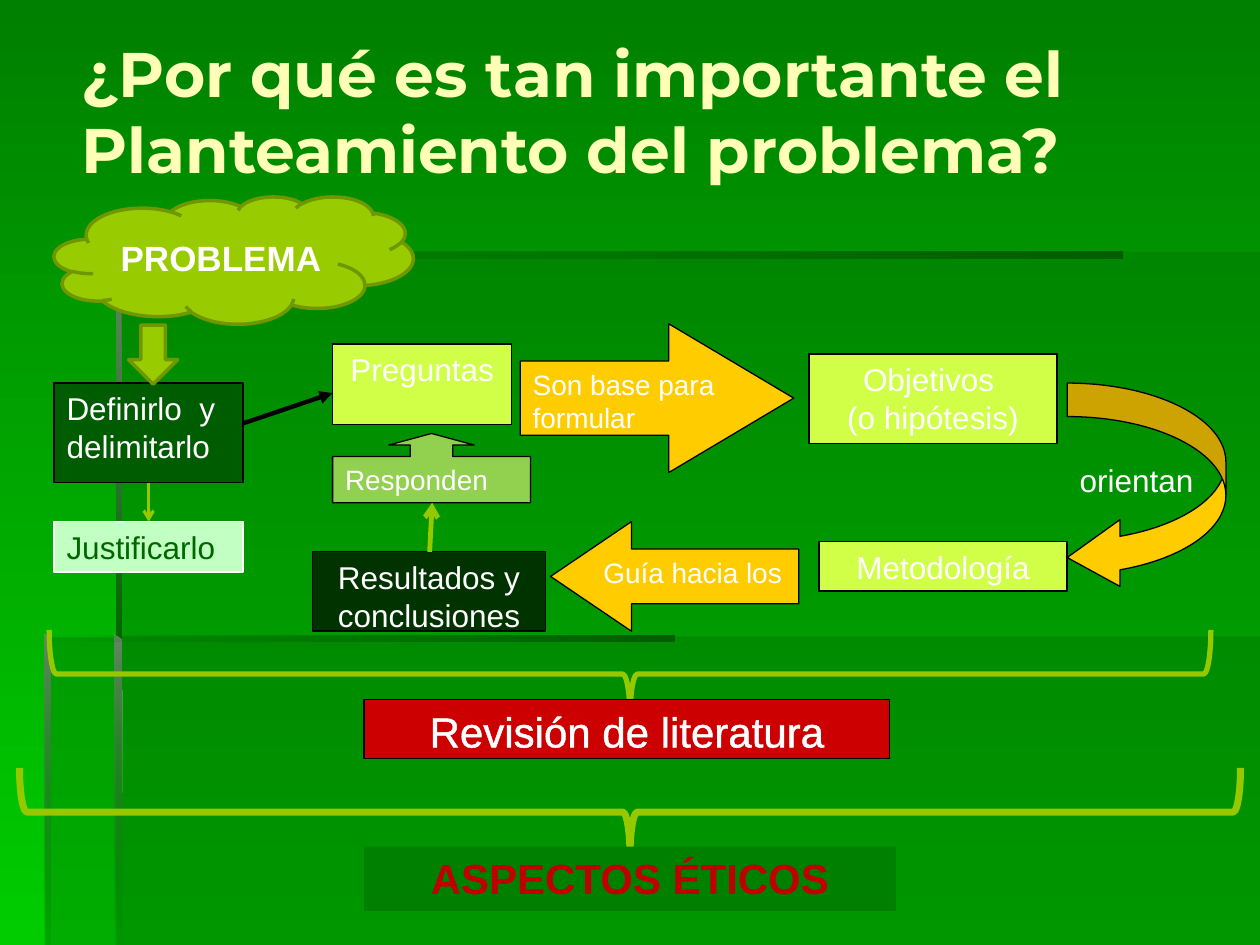
"""Builds the slide on why stating the research problem matters."""
from dataclasses import dataclass

from lxml import etree
from pptx import Presentation
from pptx import util as u
from pptx.dml.color import RGBColor
from pptx.enum import shapes, text
from pptx.oxml import ns


@dataclass(frozen=True)
class Theme:
    title_font: str = "Montserrat"
    body_font: str = "Arial"
    title: str = "FFFFB7"
    white: str = "FFFFFF"
    black: str = "000000"
    shade: str = "006600"
    shade_end: str = "005E00"
    shade_soft: str = "668666"
    green: str = "008000"
    bright: str = "00CC00"
    lime: str = "D1FF47"
    yellow: str = "FFCC00"
    forest: str = "005C00"
    night: str = "003300"
    leaf: str = "92D050"
    mint: str = "C2FFC2"
    olive: str = "99CC00"
    olive_edge: str = "719700"
    accent: str = "96C800"
    red: str = "CC0000"
    dark_red: str = "C00000"
    title_size: int = 36
    large: int = 24
    medium: int = 20
    body: int = 18
    small: int = 16


theme = Theme()
rgb = RGBColor.from_string


def set_gradient(fill, colors, angle):
    fill.gradient()
    fill.gradient_angle = angle
    for stop, position, color in zip(fill.gradient_stops, (0, 1), colors):
        stop.position = position
        stop.color.rgb = rgb(color)


def write_lines(shape, lines, size, color, font=theme.body_font, bold=False, align=None):
    frame = shape.text_frame
    frame.word_wrap = True
    for index, line in enumerate(lines):
        paragraph = frame.add_paragraph() if index else frame.paragraphs[0]
        paragraph.alignment = align or text.PP_ALIGN.LEFT
        run = paragraph.add_run()
        run.text = line
        run.font.name = font
        run.font.size = u.Pt(size)
        run.font.bold = bold
        run.font.color.rgb = rgb(color)


presentation = Presentation()
presentation.slide_width = u.Inches(10)
presentation.slide_height = u.Inches(7.5)
slide = presentation.slides.add_slide(presentation.slide_layouts[6])
set_gradient(slide.background.fill, (theme.green, theme.bright), 270)

panel = (theme.shade, theme.shade)
fade_in = (theme.shade, theme.shade_end)
fade_out = (theme.shade_soft, theme.shade)
backdrop = [
    ([(0.92, 5.05), (0.92, 7.5), (10, 7.5), (10, 5.05)], panel, (30, 30), 0),
    ([(0.94, 5.06), (0.36, 5.06), (0.36, 7.5), (10, 7.5), (10, 2), (0.94, 2)], panel, (30, 30), 0),
    ([(0.92, 2), (0.92, 2.05), (8.91, 2.05), (8.91, 2)], fade_in, (0, 100), 0),
    ([(0.92, 2), (0.92, 5.1), (0.97, 5.1), (0.96, 2.04)], fade_out, (100, 100), 270),
    ([(0.91, 7.5), (0.97, 7.5), (0.96, 5.08), (0.91, 5.04)], fade_out, (100, 0), 270),
    ([(0.35, 5.04), (0.35, 5.09), (5.35, 5.09), (5.35, 5.04)], fade_in, (0, 100), 0),
    ([(0.35, 5.04), (0.35, 7.5), (0.4, 7.5), (0.4, 5.09)], fade_out, (100, 10), 270),
]
for corners, colors, opacities, angle in backdrop:
    points = [(u.Inches(x), u.Inches(y)) for x, y in corners]
    builder = slide.shapes.build_freeform(*points[0])
    builder.add_line_segments(points[1:], close=True)
    shape = builder.convert_to_shape()
    shape.shadow.inherit = False
    shape.line.fill.background()
    set_gradient(shape.fill, colors, angle)
    stops = shape._element.spPr.xpath("./a:gradFill//a:srgbClr")
    for stop, opacity in zip(stops, opacities):
        etree.SubElement(stop, ns.qn("a:alpha"), val=str(opacity * 1000))

title = slide.shapes.add_textbox(u.Inches(0.55), u.Inches(0.21), u.Inches(9.08), u.Inches(1.33))
title.text_frame.vertical_anchor = text.MSO_ANCHOR.MIDDLE
write_lines(title, ["¿Por qué es tan importante el Planteamiento del problema?"],
            theme.title_size, theme.title, theme.title_font, True)

kind = shapes.MSO_SHAPE
left, center = text.PP_ALIGN.LEFT, text.PP_ALIGN.CENTER
steps = [
    (kind.RECTANGLE, (2.64, 2.73, 1.42, 0.64), (), theme.lime, ["Preguntas"], theme.body, center),
    (kind.RECTANGLE, (6.42, 2.81, 1.97, 0.71), (), theme.lime,
     ["Objetivos ", "(o hipótesis)"], theme.body, center),
    (kind.RIGHT_ARROW, (4.13, 2.57, 2.17, 1.18), (0.5, 0.84), theme.yellow,
     ["Son base para formular"], theme.small, left),
    (kind.CURVED_LEFT_ARROW, (8.47, 3.04, 1.26, 1.65), (0.211, 0.421, 0.333), theme.yellow,
     ["orientan"], theme.body, left),
    (kind.RECTANGLE, (6.5, 4.3, 1.97, 0.39), (), theme.lime, ["Metodología"], theme.body, center),
    (kind.RECTANGLE, (0.43, 3.04, 1.5, 0.79), (), theme.forest,
     ["Definirlo  y", "delimitarlo"], theme.body, left),
    (kind.LEFT_ARROW, (4.37, 4.14, 1.97, 0.87), (0.5, 0.738), theme.yellow,
     ["Guía hacia los"], theme.small, left),
    (kind.RECTANGLE, (2.48, 4.38, 1.85, 0.63), (), theme.night,
     ["Resultados y", "conclusiones"], theme.body, center),
    (kind.UP_ARROW_CALLOUT, (2.64, 3.44, 1.57, 0.55), (0.615, 0.615, 0.167, 0.667), theme.leaf,
     ["Responden"], theme.small, left),
    (kind.CLOUD, (0.43, 1.56, 2.85, 1.01), (), theme.olive, ["PROBLEMA"], theme.medium, center),
    (kind.RECTANGLE, (0.43, 4.14, 1.5, 0.4), (), theme.mint, ["Justificarlo"], theme.body, left),
    (kind.DOWN_ARROW, (1.02, 2.58, 0.39, 0.47), (), theme.olive, [], theme.body, center),
    (kind.LEFT_BRACE, (4.65, 0.74, 0.7, 9.22), (0.083, 0.5), None, [], 3, center),
    (kind.LEFT_BRACE, (4.65, 1.6, 0.7, 9.69), (0.083, 0.5), None, [], 4, center),
    (kind.RECTANGLE, (2.89, 5.55, 4.17, 0.47), (), theme.red,
     ["Revisión de literatura"], theme.large, center),
    (kind.RECTANGLE, (2.89, 6.72, 4.22, 0.51), (), theme.green,
     ["ASPECTOS ÉTICOS"], theme.large, center),
]
edges = {theme.olive: (theme.olive_edge, 2), theme.mint: (theme.white, 0.75)}
text_colors = {theme.mint: theme.shade, theme.green: theme.dark_red}
for preset, box, adjustments, fill, lines, size, align in steps:
    shape = slide.shapes.add_shape(preset, *map(u.Inches, box))
    shape.shadow.inherit = False
    for index, value in enumerate(adjustments):
        shape.adjustments[index] = value
    edge, width = edges.get(fill, (theme.black, 0.75))
    if preset == kind.LEFT_BRACE:
        shape.rotation = 270
        shape.fill.background()
        edge, width = theme.accent, size
    else:
        shape.fill.solid()
        shape.fill.fore_color.rgb = rgb(fill)
    if fill == theme.green:
        shape.line.fill.background()
    else:
        shape.line.color.rgb = rgb(edge)
        shape.line.width = u.Pt(width)
    frame = shape.text_frame
    frame.vertical_anchor = text.MSO_ANCHOR.MIDDLE if preset == kind.CLOUD else text.MSO_ANCHOR.TOP
    if preset == kind.CURVED_LEFT_ARROW:
        frame.margin_top = u.Inches(0.62)
    if lines:
        write_lines(shape, lines, size, text_colors.get(fill, theme.white),
                    bold=fill in (theme.olive, theme.green), align=align)
    if fill == theme.red:
        properties = frame.paragraphs[0].runs[0].font._element
        outline = etree.Element(ns.qn("a:ln"), w=str(u.Pt(1.45)))
        color_fill = etree.SubElement(outline, ns.qn("a:solidFill"))
        etree.SubElement(color_fill, ns.qn("a:srgbClr"), val=theme.white)
        properties.insert(0, outline)

arrows = [
    ((1.93, 3.36), (2.64, 3.12), theme.black, 2.5, "triangle"),
    ((1.18, 3.83), (1.18, 4.14), theme.accent, 1.75, "arrow"),
    ((3.41, 4.38), (3.43, 3.99), theme.accent, 2.75, "arrow"),
]
for start, end, color, width, head in arrows:
    arrow = slide.shapes.add_connector(shapes.MSO_CONNECTOR.STRAIGHT, *map(u.Inches, start + end))
    arrow.line.color.rgb = rgb(color)
    arrow.line.width = u.Pt(width)
    etree.SubElement(arrow.line._get_or_add_ln(), ns.qn("a:tailEnd"), type=head)
    etree.SubElement(arrow._element.spPr, ns.qn("a:effectLst"))

presentation.save("out.pptx")
